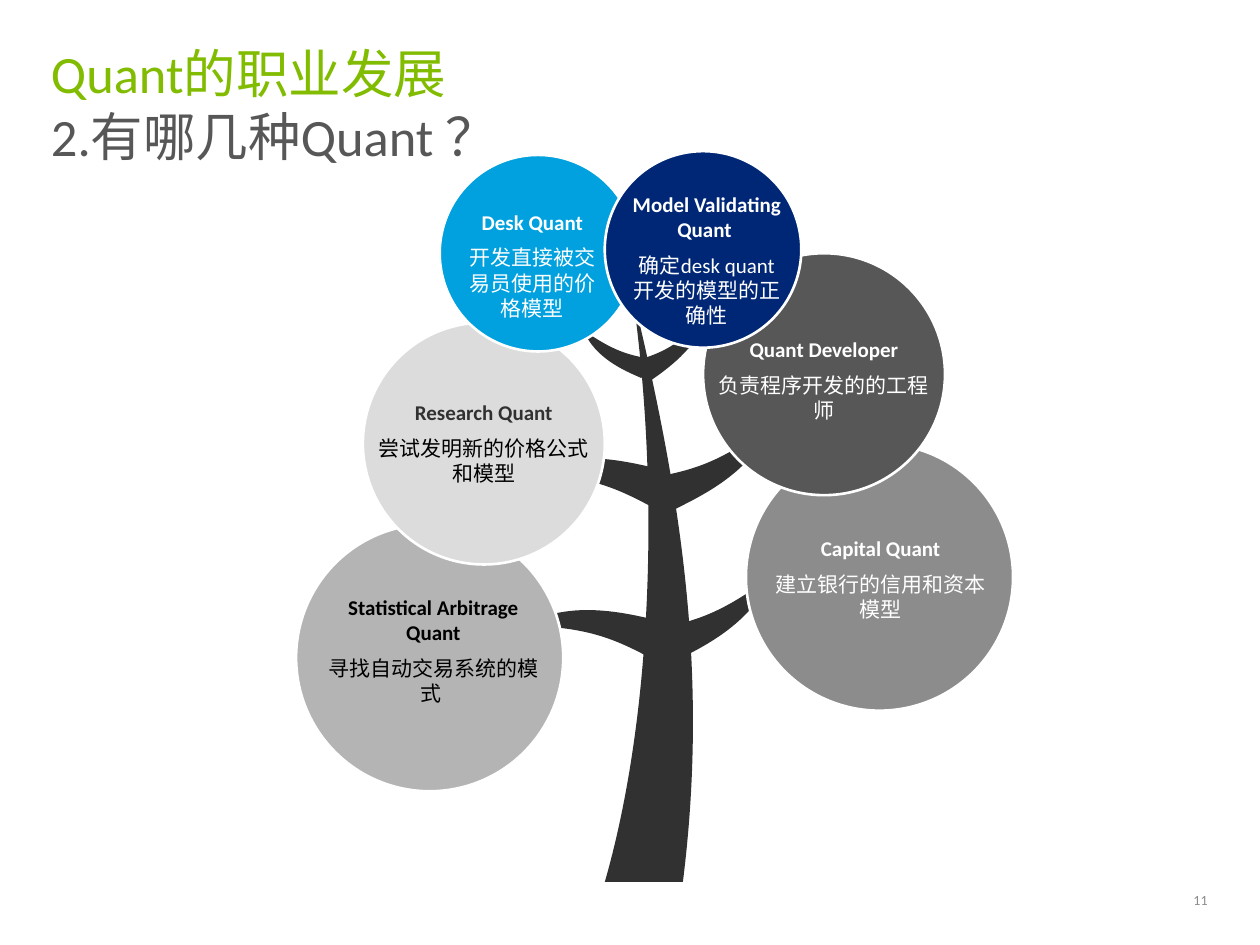
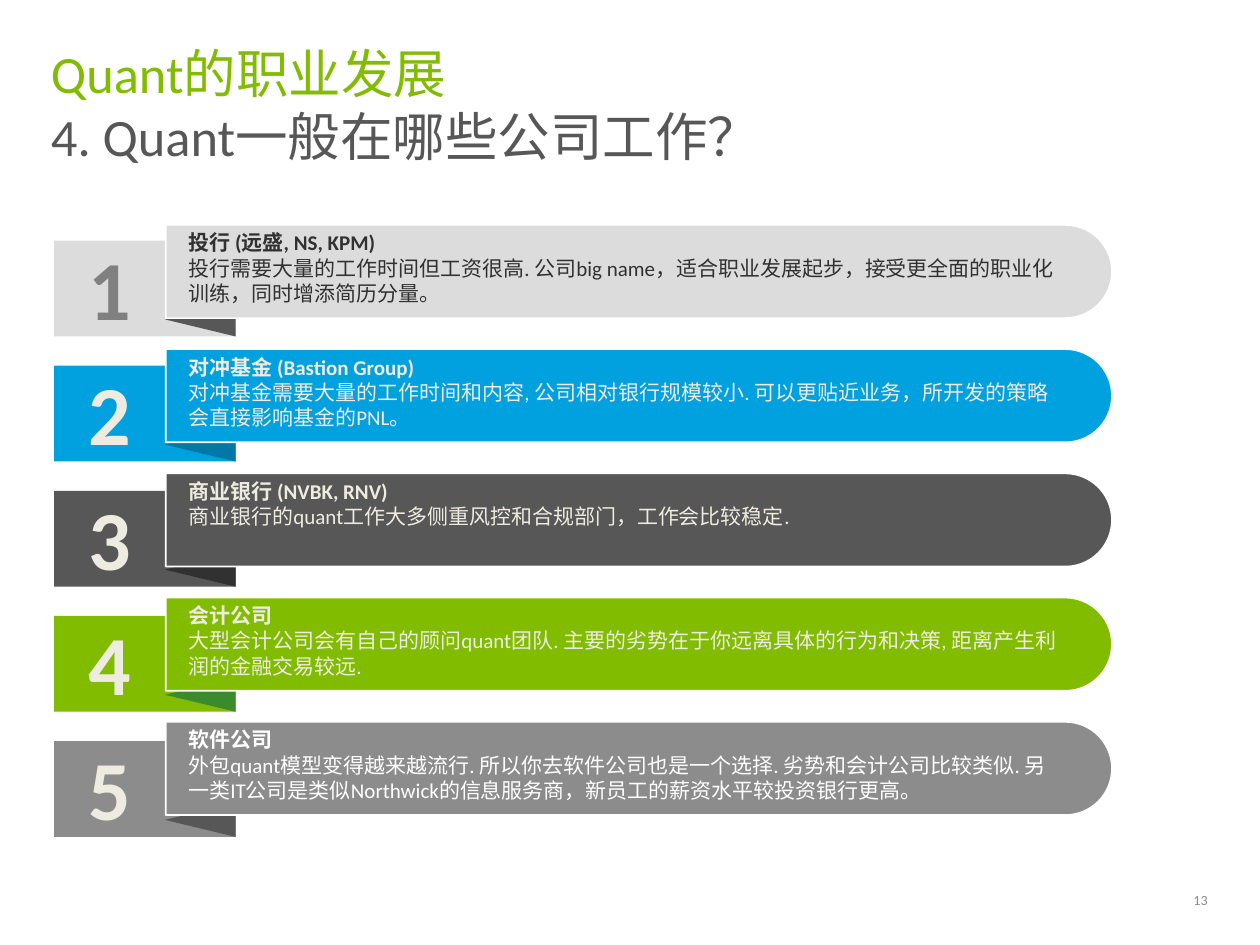
from dataclasses import dataclass

from lxml.etree import SubElement
from pptx import Presentation
from pptx.dml.color import RGBColor
from pptx.enum.shapes import MSO_SHAPE
from pptx.enum.text import MSO_ANCHOR, PP_ALIGN
from pptx.oxml.ns import qn
from pptx.util import Inches, Pt

WIDTH, HEIGHT = Inches(10), Inches(7.5)
COLUMNS, ROWS = 100, 75


@dataclass(frozen=True)
class Theme:
    font: str = "Calibri"
    green: str = "81BC00"
    forest: str = "3C8A2E"
    blue: str = "00A1DE"
    teal: str = "0079A6"
    navy: str = "002776"
    charcoal: str = "313131"
    dark: str = "575757"
    mid: str = "8C8C8C"
    number: str = "808080"
    silver: str = "B4B4B4"
    light: str = "DCDCDC"
    cream: str = "EEECE1"
    white: str = "FFFFFF"
    black: str = "000000"
    title_size: int = 30
    number_size: int = 48
    body_size: int = 12
    page_size: int = 8


T = Theme()

TOP_BRANCHES = [
    [[(51.8, 28.5)], [(49.8, 28.2), (48.6, 27.8), (46.3, 26.2)],
     [(47.2, 28.4), (49.5, 29.4), (50.9, 30)]],
    [[(50.9, 28.5)], [(52.8, 27.9), (54, 27.2), (56, 25.2)],
     [(55.4, 27.6), (52.8, 29.4), (51.5, 30.3)]],
]
RIGHT_BRANCH = [[(51.8, 37.9)], [(55.2, 37.3), (57.3, 36.6), (61.2, 33.7)],
                [(59.6, 37.5), (55.8, 39.3), (53.4, 40.5)]]
LEFT_BRANCH = [[(51.5, 40.1)], [(48.5, 38.5), (46.3, 37.7), (41.5, 37.6)],
               [(45.1, 35.6), (49.2, 36.5), (51.8, 37.1)]]
TRUNK = [[(48, 70)], [(51.6, 57.5), (52.5, 39.7), (50.2, 23.3)],
         [(54, 39.1), (56.3, 53.2), (54.2, 70)]]
BRANCH_DROP = 12.05

QUANTS = [
    ("Statistical Arbitrage Quant", "寻找自动交易系统的模式 ",
     (23.5, 41.6, 21.2), T.silver, (25.6, 47.2, 17.6, 8.9), T.black, T.black),
    ("Capital Quant", "建立银行的信用和资本模型",
     (59.2, 35.2, 21.2), T.mid, (61.1, 42.5, 17.6, 6.9), T.white, T.white),
    ("Quant Developer", "负责程序开发的的工程师",
     (55.8, 20.1, 19.2), T.dark, (56.6, 26.7, 17.6, 6.9), T.white, T.white),
    ("Research Quant", "尝试发明新的价格公式和模型",
     (28.8, 25.6, 19.2), T.light, (29.6, 31.7, 17.6, 6.9), T.charcoal, T.black),
    ("Desk Quant", "开发直接被交易员使用的价格模型",
     (34.9, 12.3, 15.6), T.blue, (37, 16.6, 10.5, 8.9), T.white, T.white),
    ("Model Validating Quant ", "确定desk quant开发的模型的正确性",
     (48, 12, 15.6), T.navy, (50, 15.2, 12.2, 10.9), T.white, T.white),
]

EMPLOYERS = [
    ("投行 (远盛, NS, KPM)",
     "投行需要大量的工作时间但工资很高. 公司big name，适合职业发展起步，接受更全面的职业化训练，同时增添简历分量。",
     T.light, T.dark, T.number, T.charcoal),
    ("对冲基金 (Bastion Group)",
     "对冲基金需要大量的工作时间和内容, 公司相对银行规模较小. 可以更贴近业务，所开发的策略会直接影响基金的PNL。",
     T.blue, T.teal, T.cream, T.cream),
    ("商业银行 (NVBK, RNV)",
     "商业银行的quant工作大多侧重风控和合规部门，工作会比较稳定.",
     T.dark, T.charcoal, T.cream, T.cream),
    ("会计公司",
     "大型会计公司会有自己的顾问quant团队. 主要的劣势在于你远离具体的行为和决策, 距离产生利润的金融交易较远.",
     T.green, T.forest, T.cream, T.cream),
    ("软件公司",
     "外包quant模型变得越来越流行. 所以你去软件公司也是一个选择. 劣势和会计公司比较类似. "
     "另一类IT公司是类似Northwick的信息服务商，新员工的薪资水平较投资银行更高。",
     T.mid, T.dark, T.cream, T.white),
]
STRIP_PITCH, TAB_PITCH = 9.86, 9.93


def col(n):
    return round(WIDTH * n / COLUMNS)


def row(n):
    return round(HEIGHT * n / ROWS)


def box(left, top, width, height):
    return col(left), row(top), col(width), row(height)


def add_text(s, area, lines, *, size=T.body_size, align=PP_ALIGN.LEFT,
             anchor=MSO_ANCHOR.TOP, inset=0, after=0, one_paragraph=False):
    sp = s.shapes.add_textbox(*box(*area))
    tf = sp.text_frame
    tf.word_wrap = True
    tf.vertical_anchor = anchor
    tf.margin_left = tf.margin_right = col(inset)
    tf.margin_top = tf.margin_bottom = row(inset)
    p = tf.paragraphs[0]
    for i, (text, color, bold) in enumerate(lines):
        if i and one_paragraph:
            p.add_line_break()
        elif i:
            p = tf.add_paragraph()
        p.alignment = align
        p.font.size = Pt(size)
        if after:
            p.space_after = Pt(after)
        r = p.add_run()
        r.text = text
        r.font.name = T.font
        r.font.size = Pt(size)
        r.font.bold = bold
        r.font.color.rgb = RGBColor.from_string(color)


def paint(sp, fill, outline=0):
    sp.shadow.inherit = False
    sp.fill.solid()
    sp.fill.fore_color.rgb = RGBColor.from_string(fill)
    if outline:
        sp.line.color.rgb = RGBColor.from_string(T.white)
        sp.line.width = Pt(outline)
    else:
        sp.line.fill.background()
    return sp


def add_preset(s, kind, area, fill, outline=0, turn=0):
    left, top, width, height = area
    if turn:
        left += (width - height) / 2
        top += (height - width) / 2
        width, height = height, width
    sp = paint(s.shapes.add_shape(kind, *box(left, top, width, height)), fill, outline)
    sp.rotation = turn
    return sp


def sample(points, steps=16):
    for i in range(1, steps + 1):
        t = i / steps
        weights = (1 - t) ** 3, 3 * t * (1 - t) ** 2, 3 * t * t * (1 - t), t ** 3
        yield tuple(round(sum(w * pt[axis] for w, pt in zip(weights, points)))
                    for axis in (0, 1))


def add_limb(s, outline, drop=0):
    (start,), *bends = [[(col(x), row(y + drop)) for x, y in part] for part in outline]
    edge = [start]
    for bend in bends:
        edge.extend(sample([edge[-1], *bend]))
    builder = s.shapes.build_freeform(*start)
    builder.add_line_segments(edge[1:], close=True)
    sp = paint(builder.convert_to_shape(), T.charcoal)

    contour = next(sp._element.iter(qn("a:path")))
    for step in list(contour):
        contour.remove(step)
    steps = [("a:moveTo", [start]), *(("a:cubicBezTo", bend) for bend in bends),
             ("a:lnTo", [start]), ("a:close", [])]
    for tag, points in steps:
        step = SubElement(contour, qn(tag))
        for x, y in points:
            SubElement(step, qn("a:pt"), x=str(x - sp.left), y=str(y - sp.top))


def add_slide(prs, subtitle, page):
    s = prs.slides.add_slide(prs.slide_layouts[6])
    add_text(s, (4.05, 3.25, 91.7, 5.1),
             [("Quant的职业发展 ", T.green, False), (subtitle, T.dark, False)],
             size=T.title_size, one_paragraph=True)
    add_text(s, (87.15, 70.05, 8.7, 2.8), [(str(page), T.mid, False)],
             size=T.page_size, align=PP_ALIGN.RIGHT, anchor=MSO_ANCHOR.MIDDLE)
    return s


def add_tree(s):
    for branch in TOP_BRANCHES:
        add_limb(s, branch)
    for drop in (0, BRANCH_DROP):
        add_limb(s, RIGHT_BRANCH, drop)
        add_limb(s, LEFT_BRANCH, drop)
    add_limb(s, TRUNK)


def add_quant(s, name, duty, circle, fill, area, name_color, duty_color):
    left, top, size = circle
    add_preset(s, MSO_SHAPE.OVAL, (left, top, size, size), fill, outline=1.5)
    add_text(s, area, [(name, name_color, True), (duty, duty_color, False)],
             align=PP_ALIGN.CENTER, after=6)


def add_employer(s, index, name, about, fill, fold, number_color, text_color):
    tab_y, strip_y = index * TAB_PITCH, index * STRIP_PITCH
    add_preset(s, MSO_SHAPE.RECTANGLE, (4.3, 19.1 + tab_y, 14.4, 7.6), fill)
    add_preset(s, MSO_SHAPE.ISOSCELES_TRIANGLE, (13.1, 24 + tab_y, 5.6, 2.7),
               fold, turn=270)
    strip = add_preset(s, MSO_SHAPE.ROUND_2_SAME_RECTANGLE,
                       (13.15, 17.85 + strip_y, 75.1, 7.4), fill, outline=1, turn=90)
    strip.adjustments[0] = 0.5
    strip.adjustments[1] = 0
    add_text(s, (4.9, 18.35 + tab_y, 7.6, 8.9), [(str(index + 1), number_color, True)],
             size=T.number_size, align=PP_ALIGN.CENTER, inset=0.4)
    add_text(s, (14.95, 18.25 + strip_y, 69.5, 6.1),
             [(name, text_color, True), (about, text_color, False)])


def main():
    prs = Presentation()
    prs.slide_width, prs.slide_height = WIDTH, HEIGHT

    s = add_slide(prs, "2.有哪几种Quant ？", 11)
    add_tree(s)
    for quant in QUANTS:
        add_quant(s, *quant)

    s = add_slide(prs, "4. Quant一般在哪些公司工作？", 13)
    for index, employer in enumerate(EMPLOYERS):
        add_employer(s, index, *employer)

    prs.save("out.pptx")


if __name__ == "__main__":
    main()
